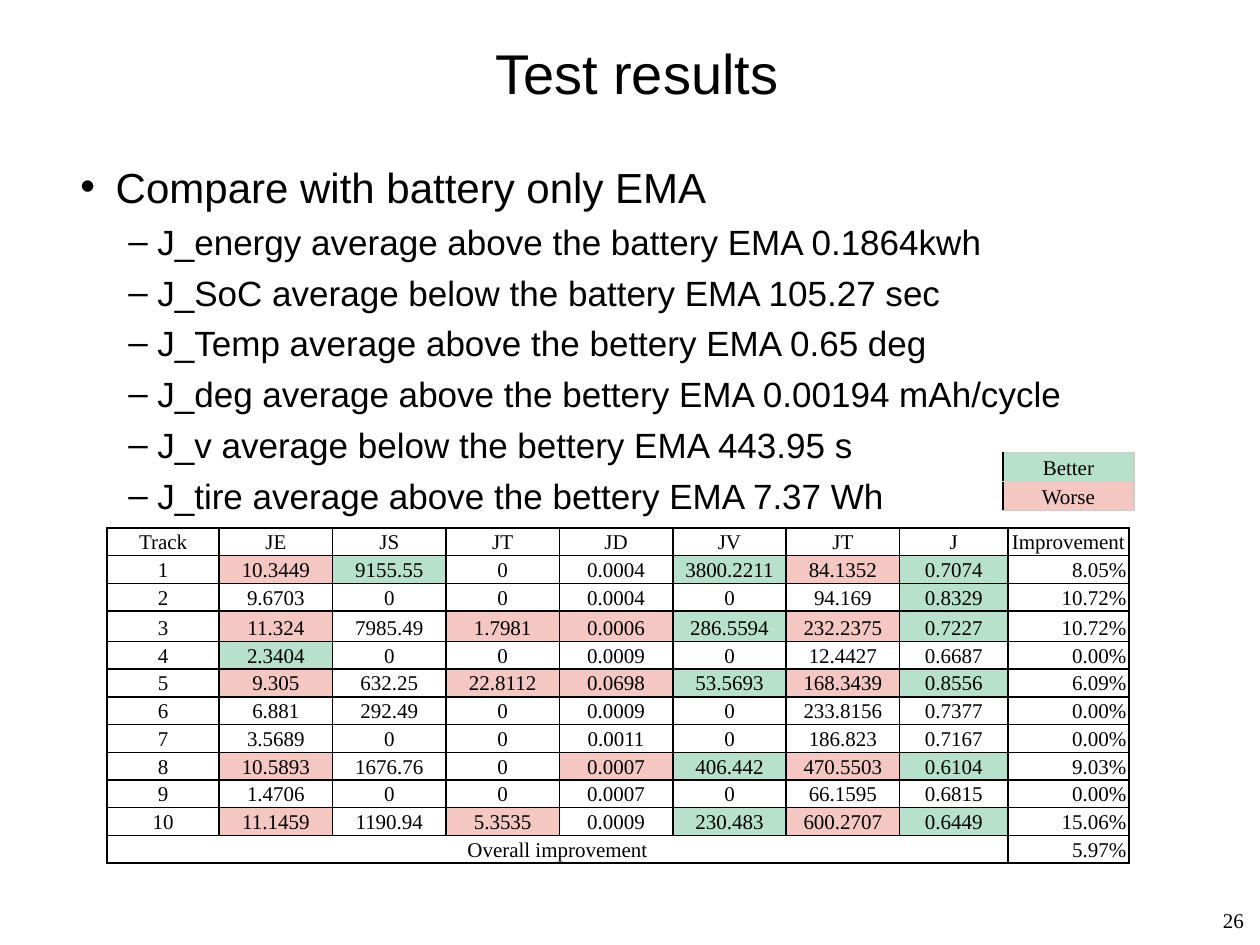
from pptx import Presentation
from pptx.dml.color import RGBColor
from pptx.enum.text import MSO_ANCHOR, PP_ALIGN
from pptx.oxml.ns import qn
from pptx.util import Inches, Pt
from lxml import etree

LEFT, CENTER, RIGHT = PP_ALIGN.LEFT, PP_ALIGN.CENTER, PP_ALIGN.RIGHT
TOP, MIDDLE, BOTTOM = MSO_ANCHOR.TOP, MSO_ANCHOR.MIDDLE, MSO_ANCHOR.BOTTOM
BLACK = RGBColor(0x00, 0x00, 0x00)
GRAY = RGBColor(0xCC, 0xCC, 0xCC)
GREEN = RGBColor(0xB7, 0xE1, 0xCD)
PINK = RGBColor(0xF4, 0xC7, 0xC3)
SANS, SERIF = "Arial", "Times New Roman"

TITLE = "Test results"
PAGE_NUMBER = "26"
HEADING = "Compare with battery only EMA"
FINDINGS = [
    "J_energy average above the battery EMA 0.1864kwh",
    "J_SoC average below the battery EMA 105.27 sec",
    "J_Temp average above the bettery EMA 0.65 deg",
    "J_deg average above the bettery EMA 0.00194 mAh/cycle",
    "J_v average below the bettery EMA 443.95 s",
    "J_tire average above the bettery EMA 7.37 Wh",
]
HEADER = ["Track", "JE", "JS", "JT", "JD", "JV", "JT", "J", "Improvement"]
TRACKS = [
    (".wb..bwb.", "1 10.3449 9155.55 0 0.0004 3800.2211 84.1352 0.7074 8.05%"),
    (".......b.", "2 9.6703 0 0 0.0004 0 94.169 0.8329 10.72%"),
    (".w.wwbwb.", "3 11.324 7985.49 1.7981 0.0006 286.5594 232.2375 0.7227 10.72%"),
    (".b.......", "4 2.3404 0 0 0.0009 0 12.4427 0.6687 0.00%"),
    (".w.wwbwb.", "5 9.305 632.25 22.8112 0.0698 53.5693 168.3439 0.8556 6.09%"),
    (".........", "6 6.881 292.49 0 0.0009 0 233.8156 0.7377 0.00%"),
    (".........", "7 3.5689 0 0 0.0011 0 186.823 0.7167 0.00%"),
    (".w..wbwb.", "8 10.5893 1676.76 0 0.0007 406.442 470.5503 0.6104 9.03%"),
    (".........", "9 1.4706 0 0 0.0007 0 66.1595 0.6815 0.00%"),
    (".w.w.bwb.", "10 11.1459 1190.94 5.3535 0.0009 230.483 600.2707 0.6449 15.06%"),
]
OVERALL = ["Overall improvement"] + [""] * 7 + ["5.97%"]
LEGEND = [("b", ["Better"]), ("w", ["Worse"])]
FILLS = {"b": GREEN, "w": PINK}

RESULT_COLUMNS = [0.89] + [0.9] * 6 + [0.86, 0.96]
RESULT_ROWS = [0.22] * 3 + [0.24] + [0.22] * 8
RESULT_EDGES = dict.fromkeys("LRTB", (BLACK, 1))
LEGEND_EDGES = {"L": (BLACK, 0.75)} | dict.fromkeys("RTB", (GRAY, 0.75))


def style_font(para, name, size):
    para.font.name = name
    para.font.size = Pt(size)
    para.font.color.rgb = BLACK


def add_text(page, area, text, name, size, align, anchor):
    box = page.shapes.add_textbox(*map(Inches, area))
    frame = box.text_frame
    frame.word_wrap = True
    frame.vertical_anchor = anchor
    para = frame.paragraphs[0]
    para.text = text
    para.alignment = align
    style_font(para, name, size)
    return frame


def add_bullet(para, text, mark, margin, hang, size):
    para.text = text
    para.space_before = Pt(5)
    properties = para._p.get_or_add_pPr()
    properties.set("marL", str(Inches(margin)))
    properties.set("indent", str(-Inches(hang)))
    etree.SubElement(properties, qn("a:buFont"), typeface=SANS)
    etree.SubElement(properties, qn("a:buChar"), char=mark)
    style_font(para, SANS, size)


def add_edges(cell, edges):
    properties = cell._tc.get_or_add_tcPr()
    for side, (color, width) in edges.items():
        line = etree.SubElement(properties, qn(f"a:ln{side}"), w=str(Pt(width)))
        fill = etree.SubElement(line, qn("a:solidFill"))
        etree.SubElement(fill, qn("a:srgbClr"), val=str(color))


def fill_cell(cell, text, mark, align, edges):
    add_edges(cell, edges)
    if mark in FILLS:
        cell.fill.solid()
        cell.fill.fore_color.rgb = FILLS[mark]
    else:
        cell.fill.background()
    cell.margin_left = cell.margin_right = Inches(0.02)
    cell.margin_top = cell.margin_bottom = Inches(0.01)
    cell.vertical_anchor = BOTTOM
    para = cell.text_frame.paragraphs[0]
    para.text = text
    para.alignment = align
    style_font(para, SERIF, 12)


def add_grid(page, left, top, widths, heights, rows, edges):
    frame = page.shapes.add_table(
        len(heights), len(widths), Inches(left), Inches(top),
        Inches(sum(widths)), Inches(sum(heights)))
    table = frame.table
    table.first_row = table.horz_banding = False
    for column, width in zip(table.columns, widths):
        column.width = Inches(width)
    for row, height in zip(table.rows, heights):
        row.height = Inches(height)
    for r, (marks, texts) in enumerate(rows):
        for c, (mark, text) in enumerate(zip(marks, texts)):
            align = RIGHT if text.endswith("%") else CENTER
            fill_cell(table.cell(r, c), text, mark, align, edges)
    return table


def main():
    deck = Presentation()
    deck.slide_width, deck.slide_height = Inches(10), Inches(7.5)
    page = deck.slides.add_slide(deck.slide_layouts[6])

    add_text(page, (1.14, 0.12, 7.83, 0.91), TITLE, SANS, 32, CENTER, MIDDLE)
    add_text(page, (9.38, 7.1, 0.59, 0.4), PAGE_NUMBER, SERIF, 12, RIGHT, MIDDLE)

    plain = "." * len(HEADER)
    rows = [(plain, HEADER)]
    rows += [(marks, values.split()) for marks, values in TRACKS]
    rows.append((plain, OVERALL))
    results = add_grid(page, 0.85, 4.19, RESULT_COLUMNS, RESULT_ROWS, rows, RESULT_EDGES)
    results.cell(len(rows) - 1, 0).merge(results.cell(len(rows) - 1, 7))
    add_grid(page, 7.96, 3.59, [1.04], [0.23, 0.23], LEGEND, LEGEND_EDGES)

    frame = add_text(page, (0.54, 1.23, 9.22, 2.9), "", SANS, 24, LEFT, TOP)
    add_bullet(frame.paragraphs[0], HEADING, "•", 0.28, 0.28, 24)
    for finding in FINDINGS:
        para = frame.add_paragraph()
        para.level = 1
        add_bullet(para, finding, "–", 0.61, 0.23, 20)

    deck.save("out.pptx")


if __name__ == "__main__":
    main()
